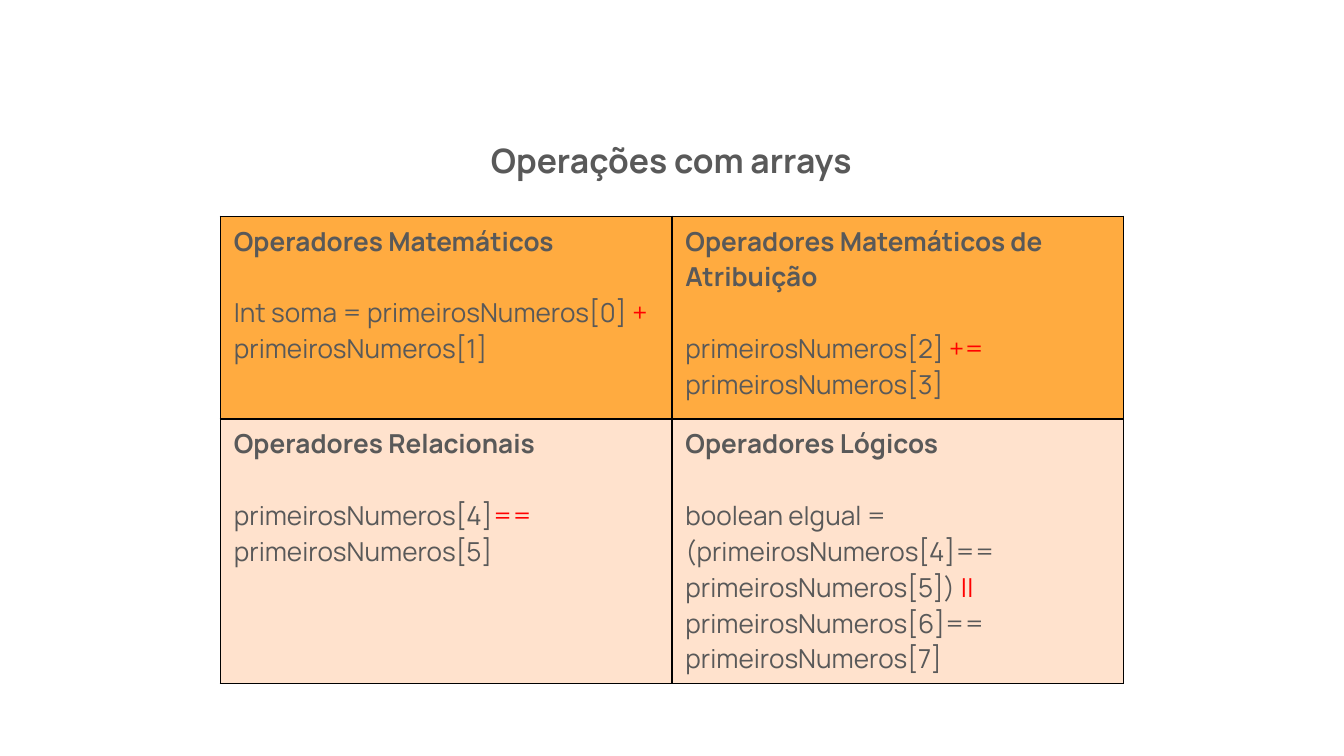
from lxml import etree
from pptx import Presentation
from pptx.dml.color import RGBColor
from pptx.enum.text import MSO_ANCHOR, PP_ALIGN
from pptx.oxml.ns import qn
from pptx.util import Inches, Pt

TOP = MSO_ANCHOR.TOP
CENTER = PP_ALIGN.CENTER

THEME = {
    "font": "Manrope",
    "text": "595959",
    "mark": "FF0000",
    "line": "000000",
    "fills": ["FFAB40", "FFE2CD"],
    "title": 18,
    "body": 14,
    "gap": 19.2,
}

TITLE = "Operações com arrays"
GRID = [
    [
        ("Operadores Matemáticos",
         ["Int soma = primeirosNumeros[0] ", "+", " primeirosNumeros[1]"]),
        ("Operadores Matemáticos de Atribuição",
         ["primeirosNumeros[2] ", "+=", " primeirosNumeros[3]"]),
    ],
    [
        ("Operadores Relacionais",
         ["primeirosNumeros[4]", "==", " primeirosNumeros[5]"]),
        ("Operadores Lógicos",
         ["boolean eIgual = (primeirosNumeros[4]== primeirosNumeros[5]) ",
          "|| ", "primeirosNumeros[6]== primeirosNumeros[7]"]),
    ],
]
WIDE = Inches(10)
HIGH = WIDE * 9 // 16
LEFT, HEAD, COL, ROW = 1.64, 1.61, 3.36, 1.51


def add_run(para, text, size, color, bold=False):
    run = para.add_run()
    run.text = text
    font = run.font
    font.name = THEME["font"]
    font.size = Pt(size)
    font.bold = bold
    font.color.rgb = RGBColor.from_string(color)


def add_edges(cell):
    props = cell._tc.get_or_add_tcPr()
    for side in ("a:lnL", "a:lnR", "a:lnT", "a:lnB"):
        line = etree.SubElement(props, qn(side), w=str(Pt(1)))
        fill = etree.SubElement(line, qn("a:solidFill"))
        etree.SubElement(fill, qn("a:srgbClr"), val=THEME["line"])


def fill_cell(cell, head, code, color):
    add_edges(cell)
    cell.fill.solid()
    cell.fill.fore_color.rgb = RGBColor.from_string(color)
    cell.vertical_anchor = TOP
    frame = cell.text_frame
    add_run(frame.paragraphs[0], head, THEME["body"], THEME["text"], True)
    para = frame.add_paragraph()
    para.space_before = Pt(THEME["gap"])
    for text, tone in zip(code, ("text", "mark", "text")):
        add_run(para, text, THEME["body"], THEME[tone])


def add_title(slide):
    title = slide.shapes.title
    title.left, title.top = Inches(0.42), Inches(0.99)
    title.width, title.height = Inches(9.15), Inches(2.93)
    frame = title.text_frame
    frame.word_wrap = True
    frame.vertical_anchor = TOP
    para = frame.paragraphs[0]
    para.alignment = CENTER
    add_run(para, TITLE, THEME["title"], THEME["text"], True)


def add_grid(slide):
    rows, cols = len(GRID), len(GRID[0])
    table = slide.shapes.add_table(
        rows, cols, Inches(LEFT), Inches(HEAD),
        Inches(COL * cols), Inches(ROW * rows)).table
    table.first_row = False
    table.horz_banding = False
    for r, (items, color) in enumerate(zip(GRID, THEME["fills"])):
        for c, (head, code) in enumerate(items):
            fill_cell(table.cell(r, c), head, code, color)


def main():
    deck = Presentation()
    deck.slide_width, deck.slide_height = WIDE, HIGH
    slide = deck.slides.add_slide(deck.slide_layouts[5])
    add_title(slide)
    add_grid(slide)
    deck.save("out.pptx")


if __name__ == "__main__":
    main()
